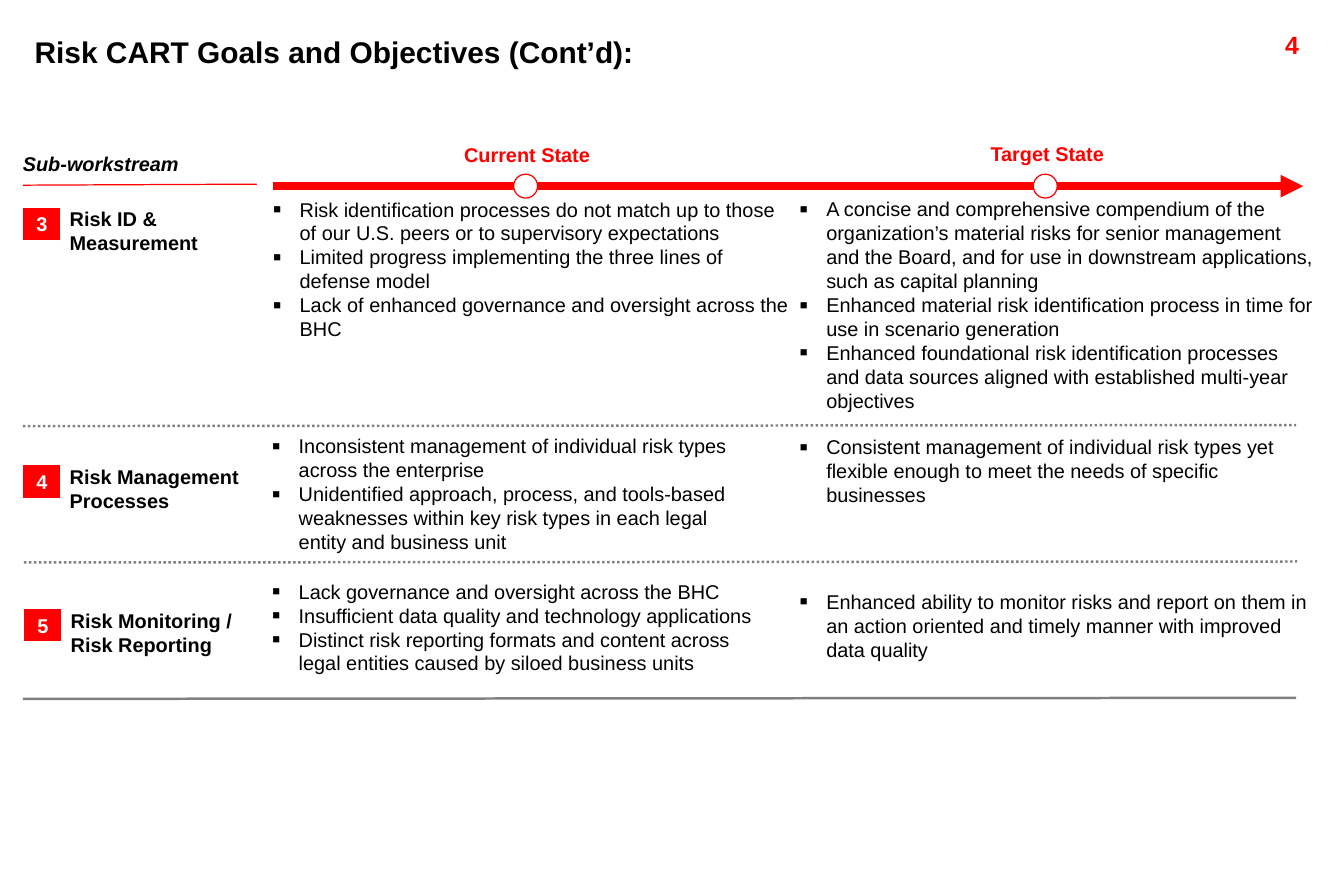
from lxml.etree import SubElement
from pptx import Presentation
from pptx.dml.color import RGBColor
from pptx.enum.dml import MSO_LINE
from pptx.enum.shapes import MSO_CONNECTOR, MSO_SHAPE
from pptx.enum.text import MSO_ANCHOR, PP_ALIGN
from pptx.oxml.ns import qn
from pptx.util import Emu, Pt

EMU_PER_PX = 7620  # 120 px to the inch
COLORS = {"red": "FF0000", "black": "000000", "white": "FFFFFF", "gray": "808080"}
BODY_SPACING = Pt(14.4)
BULLET_INDENT = 27

TITLE = {"size": Pt(18), "bold": True}
PAGE_NUMBER = {"size": Pt(15), "bold": True}
BODY = {"size": Pt(12)}
BOLD = {"size": Pt(12), "bold": True}
BOLD_ITALIC = {"size": Pt(12), "bold": True, "italic": True}
HEADING = {"alignment": PP_ALIGN.CENTER, "line_spacing": 0.95}

# Each column holds its text box (left, top, width, height) and its bullets.
WORKSTREAMS = [
    {
        "number": "3", "label": "Risk ID & Measurement", "badge": (23, 208),
        "columns": [
            ((274, 198, 520, 145), [
                "Risk identification processes do not match up to those of our U.S. peers or to supervisory expectations",
                "Limited progress implementing the three lines of defense model",
                "Lack of enhanced governance and oversight across the BHC",
            ]),
            ((803, 198, 518, 218), [
                "A concise and comprehensive compendium of the organization’s material risks for senior management and the Board, and for use in downstream applications, such as capital planning",
                "Enhanced material risk identification process in time for use in scenario generation",
                "Enhanced foundational risk identification processes and data sources aligned with established multi-year objectives",
            ]),
        ],
    },
    {
        "number": "4", "label": "Risk Management Processes", "badge": (23, 467),
        "columns": [
            ((273, 436, 474, 121), [
                "Inconsistent management of individual risk types across the enterprise",
                "Unidentified approach, process, and tools-based weaknesses within key risk types in each legal entity and business unit",
            ]),
            ((803, 437, 518, 73), [
                "Consistent management of individual risk types yet flexible enough to meet the needs of specific businesses",
            ]),
        ],
    },
    {
        "number": "5", "label": "Risk Monitoring / Risk Reporting", "badge": (24, 611),
        "columns": [
            ((273, 582, 496, 97), [
                "Lack governance and oversight across the BHC",
                "Insufficient data quality and technology applications",
                "Distinct risk reporting formats and content across legal entities caused by siloed business units",
            ]),
            ((803, 592, 518, 97), [
                "Enhanced ability to monitor risks and report on them in an action oriented and timely manner with improved data quality",
            ]),
        ],
    },
]


def px(length):
    return Emu(length * EMU_PER_PX)


def rgb(name):
    return RGBColor.from_string(COLORS[name])


def apply_format(target, values):
    for name, value in values.items():
        setattr(target, name, value)


def write_run(paragraph, text, font_format, color):
    run = paragraph.add_run()
    run.text = text
    run.font.name = "Arial"
    run.font.color.rgb = rgb(color)
    apply_format(run.font, font_format)


def add_bullet(paragraph):
    """Give the paragraph a hanging square bullet."""
    properties = paragraph._p.get_or_add_pPr()
    properties.set("marL", str(px(BULLET_INDENT)))
    properties.set("indent", str(-px(BULLET_INDENT)))
    color = SubElement(properties, qn("a:buClr"))
    SubElement(color, qn("a:srgbClr"), val=COLORS["black"])
    SubElement(properties, qn("a:buSzPct"), val="125000")
    SubElement(properties, qn("a:buFont"), typeface="Arial")
    SubElement(properties, qn("a:buChar"), char="▪")


def add_text(slide, box, texts, font_format, color="black", paragraph_format=None,
             margins=(0, 0, 0, 0), anchor=MSO_ANCHOR.TOP, wrap=True, bullets=False):
    """Add a text box with one paragraph per text; margins are left, top, right, bottom."""
    frame = slide.shapes.add_textbox(*map(px, box)).text_frame
    left, top, right, bottom = map(px, margins)
    apply_format(frame, {
        "margin_left": left, "margin_top": top, "margin_right": right,
        "margin_bottom": bottom, "vertical_anchor": anchor, "word_wrap": wrap,
    })
    for index, text in enumerate(texts):
        paragraph = frame.add_paragraph() if index else frame.paragraphs[0]
        apply_format(paragraph, paragraph_format or {})
        if bullets:
            add_bullet(paragraph)
        write_run(paragraph, text, font_format, color)


def add_line(slide, start, end, color, width, dash=None, arrow=False):
    connector = slide.shapes.add_connector(
        MSO_CONNECTOR.STRAIGHT, *map(px, start + end))
    connector.line.color.rgb = rgb(color)
    connector.line.width = Pt(width)
    if dash:
        connector.line.dash_style = dash
    if arrow:
        SubElement(connector.line._get_or_add_ln(), qn("a:tailEnd"), type="triangle")
    SubElement(connector._element.spPr, qn("a:effectLst"))


def add_filled_shape(slide, kind, box, fill, outline):
    shape = slide.shapes.add_shape(kind, *map(px, box))
    shape.shadow.inherit = False
    shape.fill.solid()
    shape.fill.fore_color.rgb = rgb(fill)
    shape.line.color.rgb = rgb(outline)
    shape.line.width = Pt(0.75)
    return shape


def add_badge(slide, left, top, number):
    badge = add_filled_shape(slide, MSO_SHAPE.RECTANGLE, (left, top, 38, 34), "red", "white")
    frame = badge.text_frame
    apply_format(frame, {"word_wrap": False, "vertical_anchor": MSO_ANCHOR.MIDDLE})
    frame.paragraphs[0].alignment = PP_ALIGN.CENTER
    write_run(frame.paragraphs[0], number, BOLD, "white")


def add_timeline(slide):
    add_text(slide, (466, 145, 127, 23), ["Current State"], BOLD, "red", HEADING, wrap=False)
    add_text(slide, (870, 144, 364, 23), ["Target State"], BOLD, "red", HEADING)
    add_line(slide, (274, 187), (1309, 187), "red", 4.5, arrow=True)
    for left in (516, 1038):
        add_filled_shape(slide, MSO_SHAPE.OVAL, (left, 175, 24, 24), "white", "red")


def add_workstream(slide, workstream):
    left, top = workstream["badge"]
    spacing = {"line_spacing": BODY_SPACING}
    add_badge(slide, left, top, workstream["number"])
    add_text(slide, (left + 47, top, 203, 48), [workstream["label"]], BOLD,
             paragraph_format=spacing)
    for box, bullets in workstream["columns"]:
        add_text(slide, box, bullets, BODY, paragraph_format=spacing, bullets=True)


def main():
    presentation = Presentation()
    presentation.slide_width = px(1350)
    presentation.slide_height = px(900)
    slide = presentation.slides.add_slide(presentation.slide_layouts[6])

    add_text(slide, (23, 28, 708, 48), ["Risk CART Goals and Objectives (Cont’d):"],
             TITLE, margins=(12, 6, 12, 6))
    add_text(slide, (1291, 30, 31, 30), ["4"], PAGE_NUMBER, "red",
             anchor=MSO_ANCHOR.MIDDLE)
    add_timeline(slide)
    add_text(slide, (23, 154, 178, 25), ["Sub-workstream"], BOLD_ITALIC,
             paragraph_format={"line_spacing": 0.95}, margins=(0, 0, 0, 2),
             anchor=MSO_ANCHOR.BOTTOM)
    add_line(slide, (23, 186), (258, 185), "red", 0.75)

    for workstream in WORKSTREAMS:
        add_workstream(slide, workstream)
    for left, top, dash in ((23, 428, MSO_LINE.ROUND_DOT),
                            (24, 565, MSO_LINE.ROUND_DOT), (23, 702, None)):
        add_line(slide, (left, top), (left + 1279, top - 1), "gray", 1.5, dash)

    presentation.save("out.pptx")


if __name__ == "__main__":
    main()
